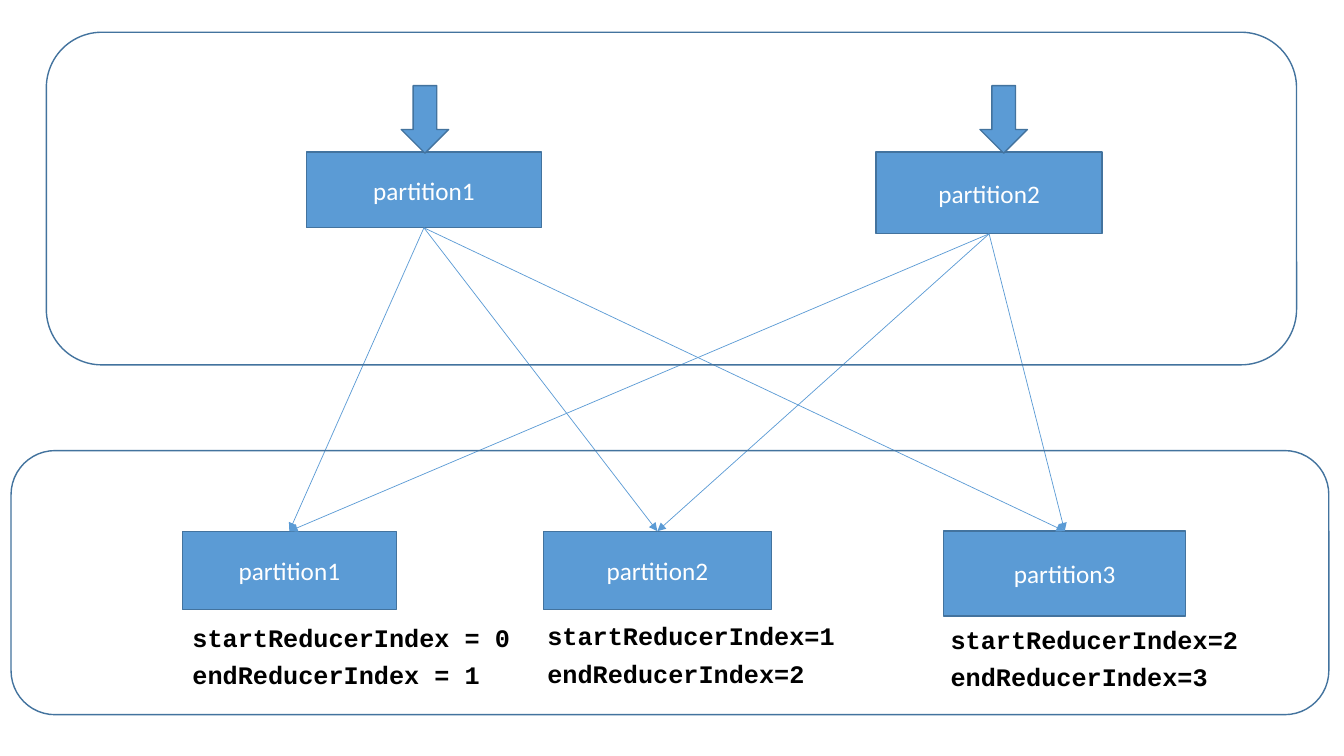
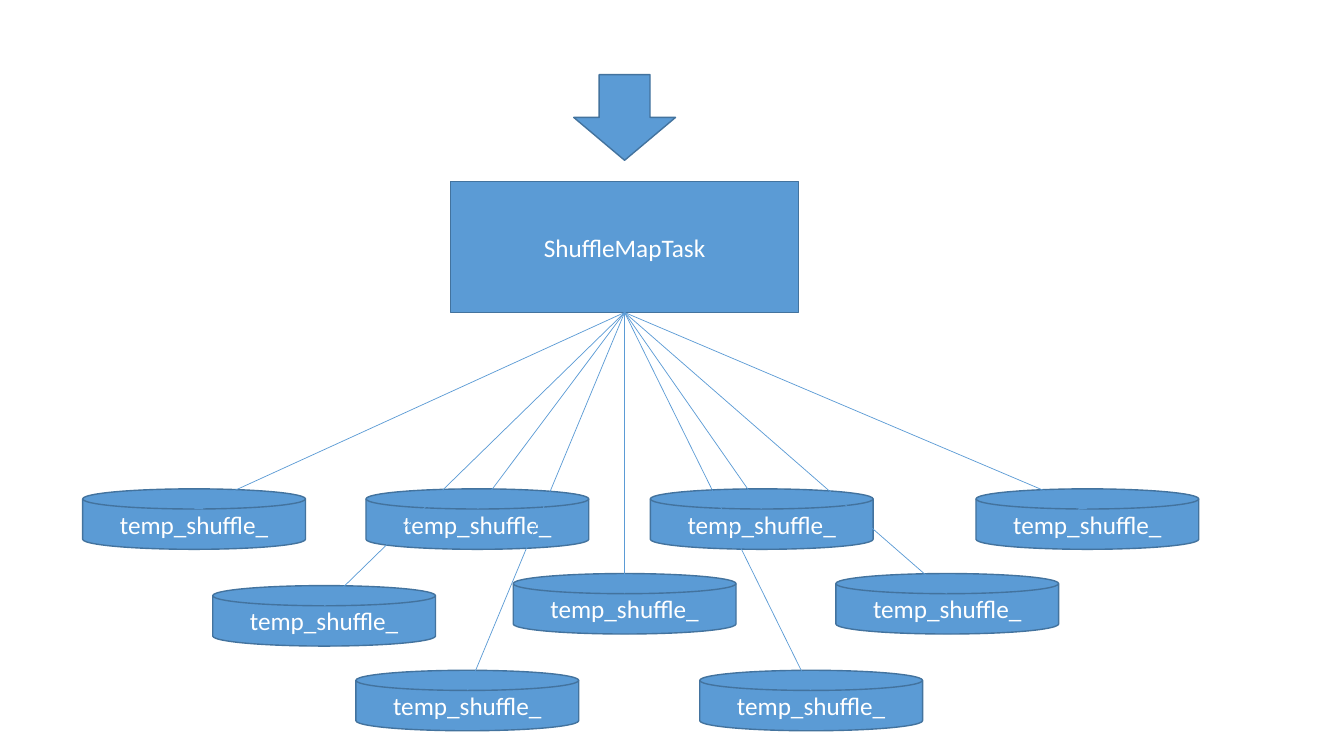
from lxml import etree
from pptx import Presentation
from pptx.dml.color import RGBColor
from pptx.enum.shapes import MSO_CONNECTOR, MSO_SHAPE
from pptx.enum.text import MSO_ANCHOR, MSO_AUTO_SIZE, PP_ALIGN
from pptx.oxml.ns import qn
from pptx.util import Inches, Pt

RECT = MSO_SHAPE.RECTANGLE
ROUNDED = MSO_SHAPE.ROUNDED_RECTANGLE
DOWN_ARROW = MSO_SHAPE.DOWN_ARROW
DISK = MSO_SHAPE.FLOWCHART_MAGNETIC_DISK
STRAIGHT = MSO_CONNECTOR.STRAIGHT
MIDDLE = MSO_ANCHOR.MIDDLE
CENTER = PP_ALIGN.CENTER
FIT_SHAPE = MSO_AUTO_SIZE.SHAPE_TO_FIT_TEXT
TOP_SITE, BOTTOM_SITE = 0, 2

COLORS = {"fill": "5B9BD5", "outline": "43739E", "light": "FFFFFF", "dark": "000000"}


class Deck:
    body_font = "Calibri"
    code_font = "Courier New"
    text_size = Pt(18)

    def __init__(self):
        self.prs = Presentation()
        self.prs.slide_width = Inches(13.33)
        self.prs.slide_height = Inches(7.5)
        self.s = None

    def new_slide(self):
        self.s = self.prs.slides.add_slide(self.prs.slide_layouts[6])

    def color(self, name):
        return RGBColor.from_string(COLORS[name])

    def style(self, p, font, color, bold=False):
        p.font.name = font
        p.font.size = self.text_size
        p.font.bold = bold
        p.font.color.rgb = self.color(color)

    def shape(self, kind, left, top, width, height, text="", filled=True):
        sp = self.s.shapes.add_shape(
            kind, Inches(left), Inches(top), Inches(width), Inches(height))
        sp.shadow.inherit = False
        if filled:
            sp.fill.solid()
            sp.fill.fore_color.rgb = self.color("fill")
        else:
            sp.fill.background()
        sp.line.color.rgb = self.color("outline")
        sp.line.width = Pt(1)
        if text:
            tf = sp.text_frame
            tf.vertical_anchor = MIDDLE
            p = tf.paragraphs[0]
            p.text = text
            p.alignment = CENTER
            self.style(p, self.body_font, "light")
        return sp

    def code(self, left, top, text):
        width = 0.15 * len(text) + 0.2
        sp = self.s.shapes.add_textbox(
            Inches(left), Inches(top), Inches(width), Inches(0.4))
        tf = sp.text_frame
        tf.word_wrap = False
        tf.auto_size = FIT_SHAPE
        p = tf.paragraphs[0]
        p.text = text
        self.style(p, self.code_font, "dark", bold=True)

    def arrow(self, source, target, drop=0):
        line = self.s.shapes.add_connector(STRAIGHT, 0, 0, 0, 0)
        line.begin_connect(source, BOTTOM_SITE)
        line.end_connect(target, TOP_SITE)
        line.end_y = target.top + Inches(drop)
        line.line.color.rgb = self.color("fill")
        line.line.width = Pt(0.5)
        sp_pr = line.element.spPr
        etree.SubElement(sp_pr.find(qn("a:ln")), qn("a:tailEnd"), type="triangle")
        etree.SubElement(sp_pr, qn("a:effectLst"))


def partition_slide(deck):
    deck.new_slide()
    reducers = [
        deck.shape(RECT, left, 5.27, width, height, f"partition{i}")
        for i, (left, width, height) in enumerate(
            [(1.81, 2.12, 0.78), (5.39, 2.26, 0.78), (9.36, 2.4, 0.84)], 1)
    ]
    mappers = [
        deck.shape(RECT, left, 1.51, width, height, f"partition{i}")
        for i, (left, width, height) in enumerate(
            [(3.04, 2.33, 0.75), (8.69, 2.24, 0.81)], 1)
    ]
    for reducer in reducers:
        for mapper in mappers:
            deck.arrow(mapper, reducer)

    deck.shape(ROUNDED, 0.46, 0.32, 12.4, 3.3, filled=False)
    deck.shape(ROUNDED, 0.11, 4.47, 13.07, 2.62, filled=False)

    labels = [(1.81, 6.12, " = "), (5.33, 6.11, "="), (9.33, 6.14, "=")]
    for i, (left, top, equals) in enumerate(labels):
        deck.code(left, top, f"startReducerIndex{equals}{i}")
        deck.code(left, top + 0.37, f"endReducerIndex{equals}{i + 1}")

    for left in (3.98, 9.72):
        deck.shape(DOWN_ARROW, left, 0.85, 0.47, 0.67)


def shuffle_slide(deck):
    deck.new_slide()
    task = deck.shape(RECT, 4.47, 1.8, 3.45, 1.3, "ShuffleMapTask")
    positions = [
        (0.82, 4.85), (3.63, 4.85), (6.45, 4.85), (9.68, 4.85),
        (2.11, 5.81), (5.09, 5.69), (8.29, 5.69),
        (3.53, 6.65), (6.94, 6.65),
    ]
    height = 0.6
    disks = [deck.shape(DISK, left, top, 2.21, height, "temp_shuffle_")
             for left, top in positions]
    for disk in disks:
        deck.arrow(task, disk, drop=height / 3)
    deck.shape(DOWN_ARROW, 5.69, 0.74, 1.01, 0.85)


def main():
    deck = Deck()
    partition_slide(deck)
    shuffle_slide(deck)
    deck.prs.save("out.pptx")


if __name__ == "__main__":
    main()
